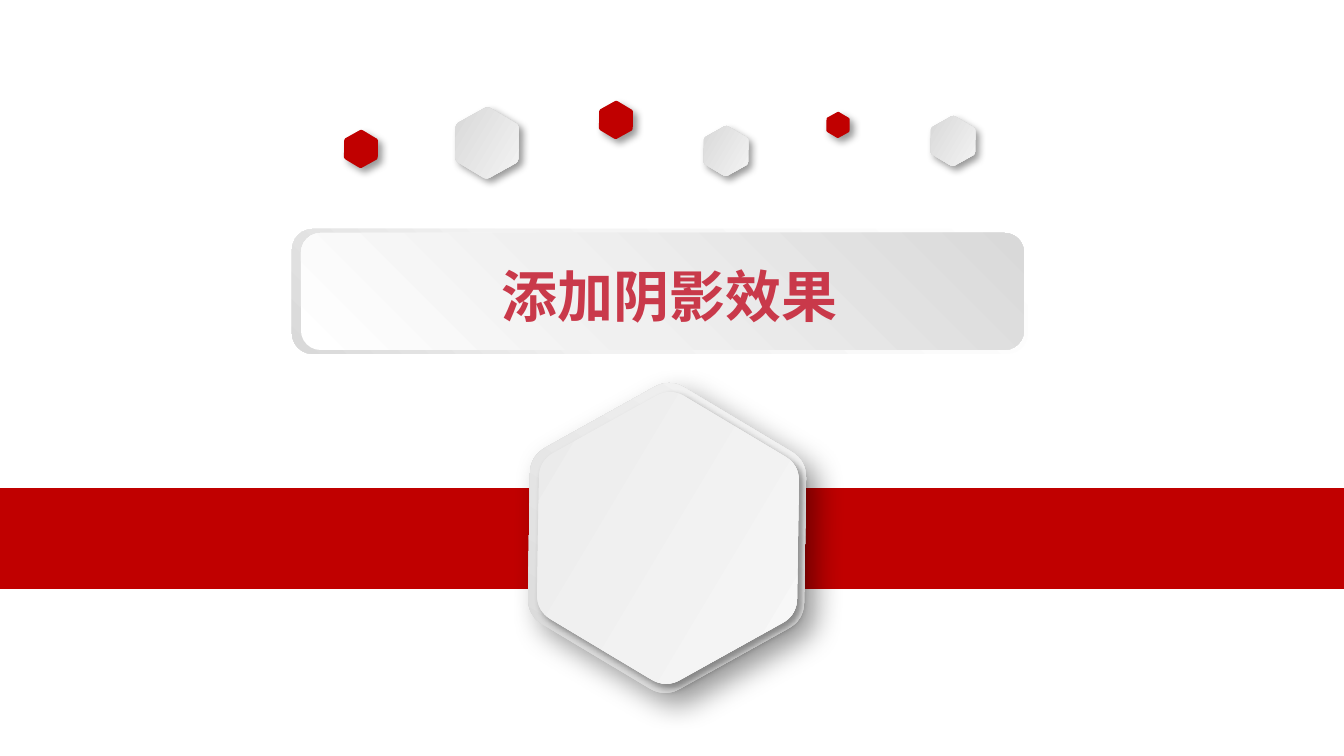
import math

import pptx
import pptx.dml.color
import pptx.enum.shapes
import pptx.enum.text
import pptx.oxml
import pptx.oxml.ns
import pptx.util

PX = 914400 / 134.4
WIDE, HIGH = 1344, 756
FONT = "Noto Sans CJK SC"
TILT = 30.9
ROUND = 0.11  # share of each hexagon side taken by a rounded corner

HEX = {
    "red": "C00000", "title": "C9394A", "shade": "000000",
    "white": "FFFFFF", "pale": "F9F9F9", "mist": "E9E9E9", "gray": "D3D3D3",
    "soft": "F2F2F2", "fog": "F0F0F0", "ash": "D9D9D9",
}

# Fills: a colour name, or (stops, clockwise angle)
GRAY = ([(0, "gray"), (100, "pale")], 0)
RIM = ([(0, "gray"), (100, "pale")], 270)
FACE = ([(0, "mist"), (100, "pale")], 0)
BACK = ([(0, "white"), (62, "soft"), (100, "ash")], 135)
FRONT = ([(0, "white"), (42, "fog"), (100, "ash")], 315)

# Shadows: blur and distance in points
NEAR, FAR = (4, 3), (15, 9)

TITLE = ("添加阴影效果", (302, 255, 736, 81))
BAND = (0, 488, WIDE, 101)
PANELS = [((292, 229, 736, 125), BACK), ((301, 233, 723, 117), FRONT)]
# Hexagons: centre x, centre y, width, fill, shadow
DOTS = [
    (487, 143, 71, GRAY, NEAR),
    (616, 120, 38, "red", NEAR),
    (361, 149, 38, "red", NEAR),
    (726, 151, 50, GRAY, NEAR),
    (838, 125, 26, "red", NEAR),
    (953, 141, 50, GRAY, NEAR),
]
BADGE = [(667, 538, 310, RIM, FAR), (668, 538, 292, FACE, NEAR)]


def emu(px):
    return pptx.util.Emu(round(px * PX))


def rgb(name):
    return pptx.dml.color.RGBColor.from_string(HEX[name])


def make(xml):
    ns = pptx.oxml.ns.nsdecls("a")
    return pptx.oxml.parse_xml(xml.replace(">", f" {ns}>", 1))


def paint(shape, fill):
    shape.line.fill.background()
    shape.shadow.inherit = False
    if isinstance(fill, str):
        shape.fill.solid()
        shape.fill.fore_color.rgb = rgb(fill)
        return
    stops, angle = fill
    marks = "".join(
        f'<a:gs pos="{pos * 1000}"><a:srgbClr val="{HEX[name]}"/></a:gs>'
        for pos, name in stops)
    shape.fill.background()
    props = shape._element.spPr
    blank = props.find(pptx.oxml.ns.qn("a:noFill"))
    props.replace(blank, make(
        f'<a:gradFill rotWithShape="1"><a:gsLst>{marks}</a:gsLst>'
        f'<a:lin ang="{angle * 60000}" scaled="0"/></a:gradFill>'))


def shade(shape, blur, dist):
    effects = shape._element.spPr.find(pptx.oxml.ns.qn("a:effectLst"))
    effects.append(make(
        f'<a:outerShdw blurRad="{blur * 12700}" dist="{dist * 12700}" '
        f'dir="2700000" algn="tl" rotWithShape="0">'
        f'<a:srgbClr val="{HEX["shade"]}"><a:alpha val="40000"/></a:srgbClr>'
        f'</a:outerShdw>'))


def outline(x, y, width):
    """Points of a hexagon whose corners are quadratic curves."""
    side = width / 2 / (1 - ROUND / 4)
    tips = [(x + side * math.cos(k * math.pi / 3),
             y + side * math.sin(k * math.pi / 3)) for k in range(6)]
    points = []
    for k, tip in enumerate(tips):
        ends = [[t + (n - t) * ROUND for t, n in zip(tip, near)]
                for near in (tips[k - 1], tips[(k + 1) % 6])]
        for step in range(9):
            u = step / 8
            points.append(tuple(
                emu((1 - u) ** 2 * a + 2 * u * (1 - u) * t + u * u * b)
                for a, t, b in zip(ends[0], tip, ends[1])))
    return points


def add_hex(shapes, x, y, width, fill, shadow):
    points = outline(x, y, width)
    path = shapes.build_freeform(*points[0])
    path.add_line_segments(points[1:], close=True)
    shape = path.convert_to_shape()
    shape.rotation = TILT
    paint(shape, fill)
    shade(shape, *shadow)


def add_box(shapes, kind, box, fill):
    shape = shapes.add_shape(kind, *map(emu, box))
    paint(shape, fill)


def set_title(slide, text, box):
    title = slide.shapes.title
    title.left, title.top, title.width, title.height = map(emu, box)
    frame = title.text_frame
    frame.text = text
    frame.word_wrap = True
    frame.auto_size = pptx.enum.text.MSO_AUTO_SIZE.SHAPE_TO_FIT_TEXT
    frame.vertical_anchor = pptx.enum.text.MSO_ANCHOR.TOP
    para = frame.paragraphs[0]
    para.alignment = pptx.enum.text.PP_ALIGN.CENTER
    font = para.runs[0].font
    font.size = pptx.util.Pt(30)
    font.bold = True
    font.color.rgb = rgb("title")
    font.name = FONT
    font._element.append(make(f'<a:ea typeface="{FONT}"></a:ea>'))
    slide.shapes._spTree.append(title._element)  # bring to the front


def main():
    deck = pptx.Presentation()
    deck.slide_width, deck.slide_height = emu(WIDE), emu(HIGH)
    slide = deck.slides.add_slide(deck.slide_layouts[5])
    shapes = slide.shapes
    kinds = pptx.enum.shapes.MSO_SHAPE

    add_box(shapes, kinds.RECTANGLE, BAND, "red")
    for dot in DOTS:
        add_hex(shapes, *dot)
    badge = shapes.add_group_shape()
    for part in BADGE:
        add_hex(badge.shapes, *part)
    panel = shapes.add_group_shape()
    for box, fill in PANELS:
        add_box(panel.shapes, kinds.ROUNDED_RECTANGLE, box, fill)
    set_title(slide, *TITLE)

    deck.save("out.pptx")


if __name__ == "__main__":
    main()
